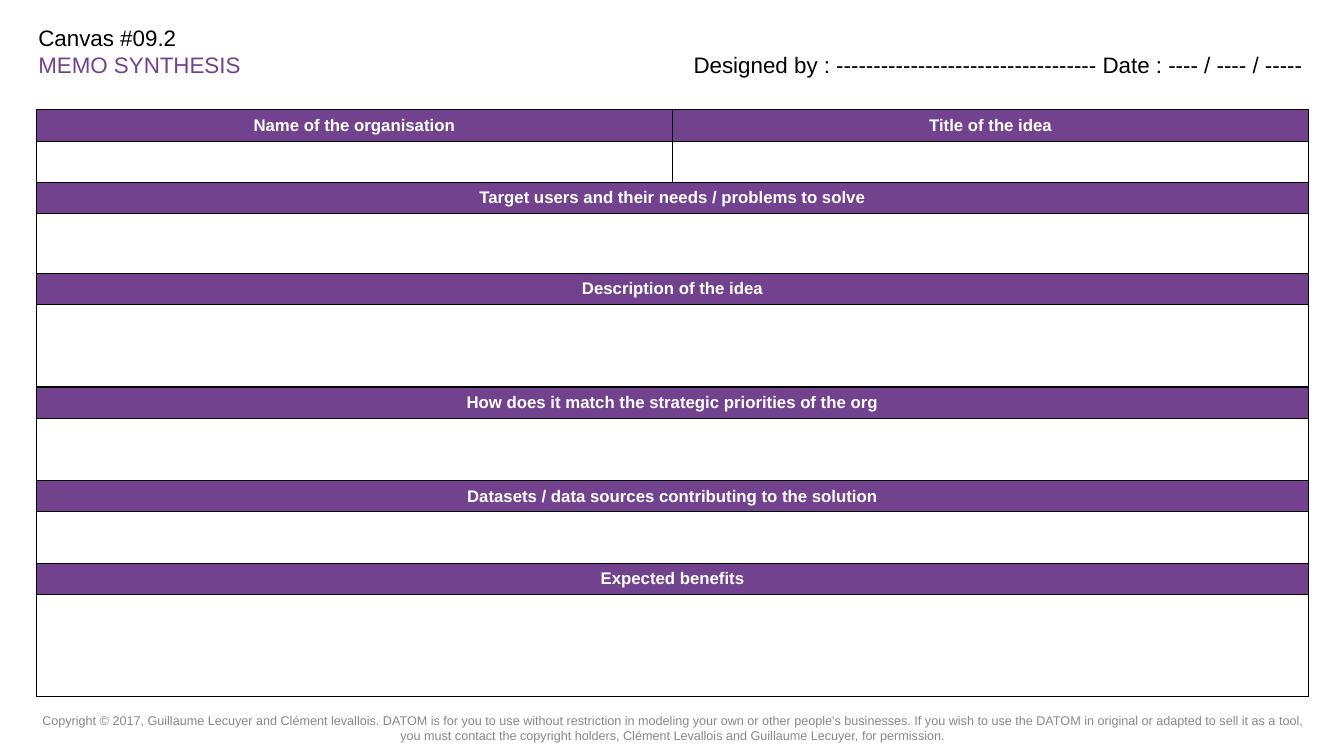
from dataclasses import dataclass

from lxml import etree
from pptx import Presentation
from pptx.dml.color import RGBColor
from pptx.enum.text import MSO_ANCHOR, MSO_AUTO_SIZE, PP_ALIGN
from pptx.oxml.ns import qn
from pptx.shapes.base import BaseShape
from pptx.table import Table, _Cell
from pptx.text.text import TextFrame, _Paragraph
from pptx.util import Inches, Pt

LEFT, CENTER = PP_ALIGN.LEFT, PP_ALIGN.CENTER
TOP, MIDDLE = MSO_ANCHOR.TOP, MSO_ANCHOR.MIDDLE
FIXED = MSO_AUTO_SIZE.NONE


@dataclass(frozen=True)
class Theme:
    font: str = "Arial"
    black: RGBColor = RGBColor(0, 0, 0)
    white: RGBColor = RGBColor(255, 255, 255)
    purple: RGBColor = RGBColor(0x73, 0x42, 0x8E)
    grey: RGBColor = RGBColor(0x88, 0x88, 0x88)
    head: int = 16
    label: int = 12
    small: int = 9
    border: int = 1


@dataclass(frozen=True)
class Section:
    labels: tuple[str, ...]
    height: float  # writing space under the label


THEME = Theme()
LABEL_ROW = 0.31
COLUMN = 6.31
SECTIONS = [
    Section(("Name of the organisation", "Title of the idea"), 0.41),
    Section(("Target users and their needs / problems to solve",), 0.59),
    Section(("Description of the idea",), 0.82),
    Section(("How does it match the strategic priorities of the org",), 0.62),
    Section(("Datasets / data sources contributing to the solution",), 0.51),
    Section(("Expected benefits",), 1.01),
]
NOTICE = (
    "Copyright © 2017, Guillaume Lecuyer and Clément levallois. DATOM is for you "
    "to use without restriction in modeling your own or other people's businesses. "
    "If you wish to use the DATOM in original or adapted to sell it as a tool, you "
    "must contact the copyright holders, Clément Levallois and Guillaume Lecuyer, "
    "for permission."
)


def style(para: _Paragraph, size: int, align: PP_ALIGN = LEFT) -> None:
    para.alignment = align
    para.font.name = THEME.font
    para.font.size = Pt(size)


def set_frame(shape: BaseShape, anchor: MSO_ANCHOR, inset: float) -> TextFrame:
    frame = shape.text_frame
    frame.word_wrap = True
    frame.auto_size = FIXED
    frame.vertical_anchor = anchor
    frame.margin_left = frame.margin_right = Inches(0.1)
    frame.margin_top = frame.margin_bottom = Inches(inset)
    return frame


def draw_border(cell: _Cell) -> None:
    props = cell._tc.get_or_add_tcPr()
    for side in ("lnL", "lnR", "lnT", "lnB"):
        line = etree.SubElement(props, qn(f"a:{side}"), w=str(Pt(THEME.border)))
        fill = etree.SubElement(line, qn("a:solidFill"))
        etree.SubElement(fill, qn("a:srgbClr"), val=str(THEME.black))


def fill_label(cell: _Cell, text: str) -> None:
    cell.fill.solid()
    cell.fill.fore_color.rgb = THEME.purple
    cell.vertical_anchor = MIDDLE
    cell.text = text
    para = cell.text_frame.paragraphs[0]
    style(para, THEME.label, CENTER)
    para.font.bold = True
    para.font.color.rgb = THEME.white


def fill_table(table: Table) -> None:
    table.first_row = table.horz_banding = False
    for col in table.columns:
        col.width = Inches(COLUMN)
    for cell in table.iter_cells():
        draw_border(cell)
        cell.fill.background()
    for i, section in enumerate(SECTIONS):
        top = 2 * i
        table.rows[top].height = Inches(LABEL_ROW)
        table.rows[top + 1].height = Inches(section.height)
        if len(section.labels) == 1:
            for row in (top, top + 1):
                table.cell(row, 0).merge(table.cell(row, 1))
        for col, label in enumerate(section.labels):
            fill_label(table.cell(top, col), label)


def main() -> None:
    deck = Presentation()
    deck.slide_width, deck.slide_height = Inches(13.33), Inches(7.5)
    slide = deck.slides.add_slide(deck.slide_layouts[5])
    shapes = slide.shapes

    # Copyright notice
    box = shapes.add_textbox(Inches(0.31), Inches(6.94), Inches(12.72), Inches(0.56))
    para = set_frame(box, MIDDLE, 0.05).paragraphs[0]
    para.text = NOTICE
    style(para, THEME.small, CENTER)
    para.font.color.rgb = THEME.grey

    # Canvas title
    title = shapes.title
    title.left, title.top = Inches(0.28), Inches(0.14)
    title.width, title.height = Inches(6.39), Inches(0.44)
    para = set_frame(title, TOP, 0.1).paragraphs[0]
    style(para, THEME.head)
    number = para.add_run()
    number.text = "Canvas #09.2"
    number.font.color.rgb = THEME.black
    para.add_line_break()
    name = para.add_run()
    name.text = "MEMO SYNTHESIS"
    name.font.color.rgb = THEME.purple

    # Author and date
    box = shapes.add_textbox(Inches(6.78), Inches(0.14), Inches(6.39), Inches(0.44))
    para = set_frame(box, TOP, 0.1).paragraphs[0]
    para.text = "Designed by : " + "-" * 35 + " Date : ---- / ---- / -----"
    para.line_spacing = 2.0
    para.space_after = Pt(6)
    style(para, THEME.head)
    para.font.color.rgb = THEME.black

    # Memo grid
    height = sum(LABEL_ROW + section.height for section in SECTIONS)
    grid = shapes.add_table(2 * len(SECTIONS), 2, Inches(0.36), Inches(1.09),
                            Inches(2 * COLUMN), Inches(height))
    fill_table(grid.table)

    deck.save("out.pptx")


if __name__ == "__main__":
    main()
